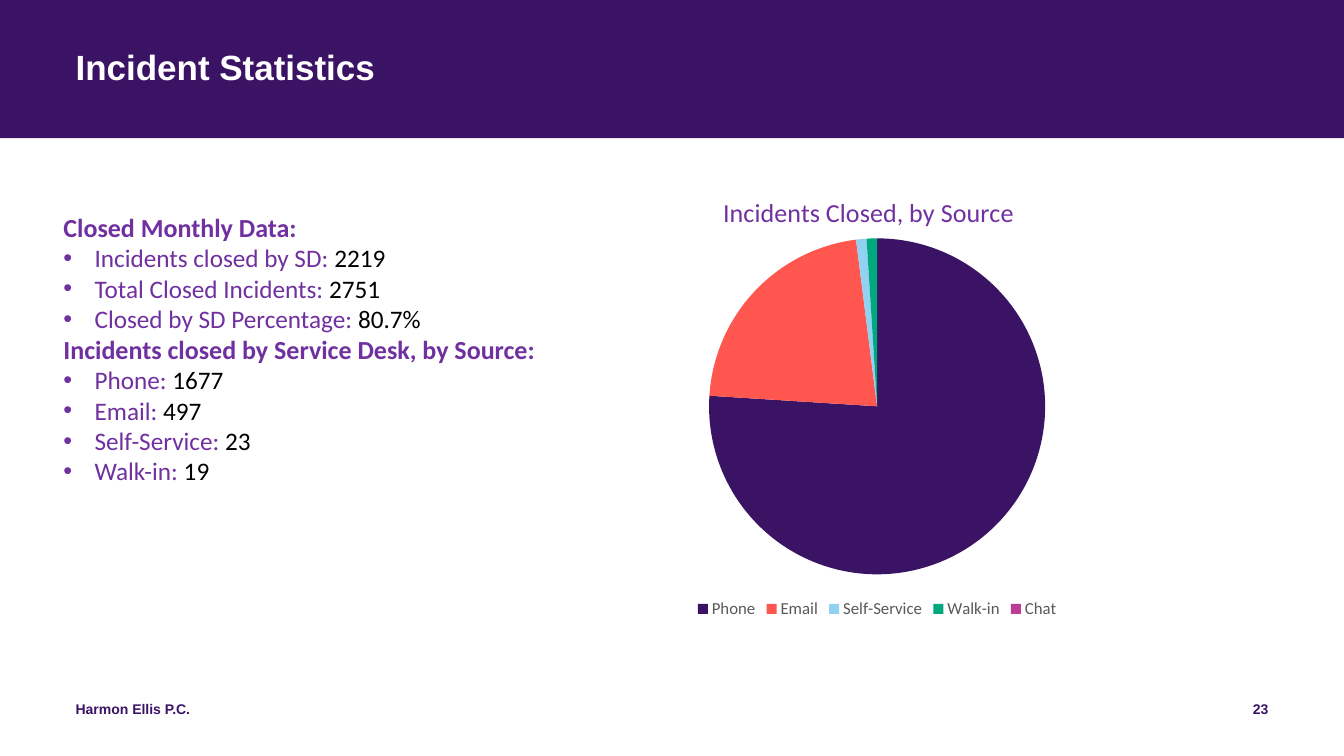
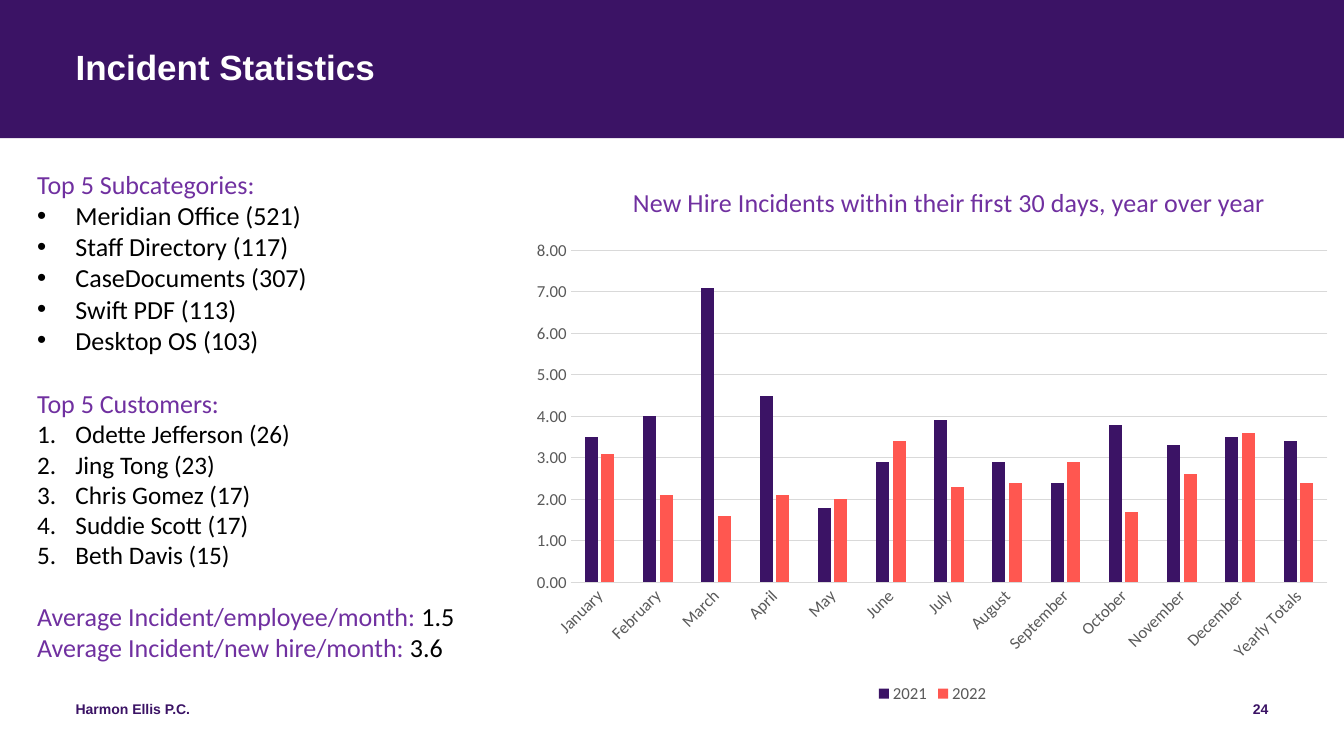
"""Build two slides of incident statistics."""
from lxml import etree
from pptx import Presentation
from pptx.chart.data import CategoryChartData
from pptx.dml.color import RGBColor
from pptx.enum.chart import XL_CHART_TYPE, XL_LEGEND_POSITION, XL_TICK_MARK
from pptx.enum.shapes import MSO_SHAPE
from pptx.enum.text import PP_ALIGN
from pptx.oxml.ns import qn
from pptx.util import Inches, Pt

PIE, BARS = XL_CHART_TYPE.PIE, XL_CHART_TYPE.COLUMN_CLUSTERED
BOTTOM, NO_TICK = XL_LEGEND_POSITION.BOTTOM, XL_TICK_MARK.NONE
RECT = MSO_SHAPE.RECTANGLE
LEFT, RIGHT = PP_ALIGN.LEFT, PP_ALIGN.RIGHT
HEX = {"plum": "3B1365", "coral": "FF5750", "sky": "91D2F2", "green": "00A87E",
       "pink": "BC3D95", "violet": "7030A0", "black": "000000", "white": "FFFFFF",
       "gray": "595959", "rule": "D9D9D9"}
HEAD, BODY = 18.6, 18
FIRM = "Harmon Ellis P.C."


def tint(name):
    """Return the named colour."""
    return RGBColor.from_string(HEX[name])


def place(host, spot, index):
    """Fix a chart part at shares of the chart's size."""
    for old in host.findall(qn("c:layout")):
        host.remove(old)
    frame = etree.Element(qn("c:layout"))
    host.insert(index, frame)
    inner = etree.SubElement(frame, qn("c:manualLayout"))
    rules = [("xMode", "edge"), ("yMode", "edge"), *zip("xywh", spot)]
    if len(spot) == 4:
        rules.insert(0, ("layoutTarget", "inner"))
    for tag, val in rules:
        etree.SubElement(inner, qn(f"c:{tag}")).set("val", str(val))


class Deck:
    """Hold the style and the current slide; boxes are percents of the slide."""

    def __init__(self):
        """Open an empty wide deck."""
        self.file = Presentation()
        self.file.slide_width, self.file.slide_height = Inches(13.33), Inches(7.5)
        self.slide = None

    def box(self, spot):
        """Turn percents into slide lengths."""
        wide, high = self.file.slide_width, self.file.slide_height
        return [int(side * part / 100) for side, part in zip((wide, high) * 2, spot)]

    def font(self, font, size, color, bold=False, face="Calibri"):
        """Style a font."""
        font.name, font.size, font.bold = face, Pt(size), bold
        font.color.rgb = tint(color)

    def run(self, para, text, *style):
        """Add one styled run."""
        run = para.add_run()
        run.text = text
        self.font(run.font, *style)

    def frame(self, spot):
        """Add a wrapping text box and return its frame."""
        frame = self.slide.shapes.add_textbox(*self.box(spot)).text_frame
        frame.word_wrap = True
        return frame

    def label(self, spot, text, size, color, align=LEFT, lead=1):
        """Add one bold line without insets."""
        frame = self.frame(spot)
        frame.margin_left = frame.margin_right = frame.margin_top = frame.margin_bottom = 0
        para = frame.paragraphs[0]
        para.alignment, para.line_spacing = align, lead
        self.run(para, text, size, color, True, "Arial")

    def page(self, title, number):
        """Start a slide with its band, title and footer."""
        self.slide = self.file.slides.add_slide(self.file.slide_layouts[6])
        band = self.slide.shapes.add_shape(RECT, *self.box((0, 0, 100, 18.27)))
        band.shadow.inherit = False
        band.fill.solid()
        band.fill.fore_color.rgb = tint("plum")
        band.line.fill.background()
        self.label((5.63, 92.67, 33.76, 5.33), FIRM, 10, "plum")
        self.label((71.87, 92.67, 22.5, 5.33), str(number), 10, "plum", RIGHT)
        self.label((5.63, 6.67, 88.75, 10.8), title, 25, "white", lead=0.9)

    def notes(self, spot, rows, indent):
        """Add rows of (mark, size, bold, gap, runs)."""
        frame = self.frame(spot)
        for i, (mark, size, bold, gap, runs) in enumerate(rows):
            para = frame.add_paragraph() if i else frame.paragraphs[0]
            para.space_before = Pt(gap)
            if mark:
                self.mark(para, mark, indent)
            for text, color in runs:
                self.run(para, text, size, color, bold)

    def mark(self, para, kind, indent):
        """Give a paragraph a bullet or a number."""
        props = para._p.get_or_add_pPr()
        props.set("marL", str(Inches(indent)))
        props.set("indent", str(-Inches(indent)))
        if kind == "1.":
            etree.SubElement(props, qn("a:buAutoNum")).set("type", "arabicPeriod")
        else:
            etree.SubElement(props, qn("a:buFont")).set("typeface", "Arial")
            etree.SubElement(props, qn("a:buChar")).set("char", kind)

    def chart(self, kind, spot, title, cats, series, head, plot):
        """Add a chart with a title and a legend."""
        data = CategoryChartData()
        data.categories = cats
        for name, vals in series:
            data.add_series(name, vals)
        chart = self.slide.shapes.add_chart(kind, *self.box(spot), data).chart
        self.font(chart.font, 10, "black")
        chart.has_title = chart.has_legend = True
        self.run(chart.chart_title.text_frame.paragraphs[0], title, HEAD, "violet")
        chart.legend.position, chart.legend.include_in_layout = BOTTOM, False
        self.font(chart.legend.font, 12, "gray")
        place(chart.element.xpath("c:chart/c:title")[0], head, 1)
        place(chart.element.xpath("c:chart/c:plotArea")[0], plot, 0)
        return chart

    def paint(self, items, names):
        """Fill points or series in turn."""
        for item, name in zip(items, names):
            item.format.fill.solid()
            item.format.fill.fore_color.rgb = tint(name)

    def pie(self, *args, colors):
        """Add a pie chart."""
        plot = self.chart(PIE, *args).plots[0]
        plot.vary_by_categories = True
        points = plot.series[0].points
        self.paint([points[i] for i in range(len(colors))], colors)

    def bars(self, *args, colors):
        """Add a column chart."""
        chart = self.chart(BARS, *args)
        plot = chart.plots[0]
        plot.vary_by_categories, plot.gap_width, plot.overlap = False, 219, -27
        self.paint(plot.series, colors)
        cat, val = chart.category_axis, chart.value_axis
        for axis in (cat, val):
            axis.major_tick_mark = axis.minor_tick_mark = NO_TICK
            self.font(axis.tick_labels.font, 12, "gray")
        val.minimum_scale, val.maximum_scale, val.major_unit = 0, 8, 1
        val.tick_labels.number_format = "0.00"
        val.tick_labels.number_format_is_linked = False
        val.format.line.fill.background()
        for line in (cat.format.line, val.major_gridlines.format.line):
            line.color.rgb, line.width = tint("rule"), Pt(0.75)
        turn = chart.element.xpath(".//c:catAx/c:txPr/a:bodyPr")[0]
        turn.set("rot", "-2700000")
        turn.set("vert", "horz")


def head(text, bold=False, gap=0):
    """Make a heading row."""
    return None, HEAD, bold, gap, [(text, "violet")]


def pair(name, value, mark="•", size=BODY, gap=0):
    """Make a row of a name and its value."""
    return mark, size, False, gap, [(f"{name}: ", "violet"), (value, "black")]


def items(mark, size, texts):
    """Make marked black rows."""
    return [(mark, size, False, 0, [(text, "black")]) for text in texts]


def main():
    """Build and save the deck."""
    deck = Deck()
    deck.page("Incident Statistics", 23)
    deck.pie((30.53, 21.47, 69.47, 60.93), "Incidents Closed, by Source",
             ["Phone", "Email", "Self-Service", "Walk-in", "Chat"],
             [("Series 1", [76, 22, 1, 1, 0])], (0.33, 0.06), (0.32, 0.16, 0.36, 0.74),
             colors=["plum", "coral", "sky", "green", "pink"])
    deck.notes((3.98, 27.33, 37.13, 41.6), [
        head("Closed Monthly Data:", True),
        pair("Incidents closed by SD", "2219"),
        pair("Total Closed Incidents", "2751"),
        pair("Closed by SD Percentage", "80.7%"),
        head("Incidents closed by Service Desk, by Source:", True),
        pair("Phone", "1677"),
        pair("Email", "497"),
        pair("Self-Service", "23"),
        pair("Walk-in", "19"),
    ], 0.31)

    deck.page("Incident Statistics", 24)
    deck.notes((2.03, 21.6, 36.83, 67.33), [
        head("Top 5 Subcategories:"),
        *items("•", HEAD, ["Meridian Office (521)", "Staff Directory (117)",
                           "CaseDocuments (307)", "Swift PDF (113)", "Desktop OS (103)"]),
        head("Top 5 Customers:", gap=22.7),
        *items("1.", BODY, ["Odette Jefferson (26)", "Jing Tong (23)", "Chris Gomez (17)",
                            "Suddie Scott (17)", "Beth Davis (15)"]),
        pair("Average Incident/employee/month", "1.5", None, HEAD, 22),
        pair("Average Incident/new hire/month", "3.6", None, HEAD),
    ], 0.38)
    deck.bars((38.78, 21.6, 61.22, 72),
              "New Hire Incidents within their first 30 days, year over year",
              ["January", "February", "March", "April", "May", "June", "July", "August",
               "September", "October", "November", "December", "Yearly Totals"],
              [("2021", [3.5, 4, 7.1, 4.5, 1.8, 2.9, 3.9, 2.9, 2.4, 3.8, 3.3, 3.5, 3.4]),
               ("2022", [3.1, 2.1, 1.6, 2.1, 2, 3.4, 2.3, 2.4, 2.9, 1.7, 2.6, 3.6, 2.4])],
              (0.13, 0.03), (0.06, 0.16, 0.92, 0.61), colors=["plum", "coral"])
    deck.file.save("out.pptx")


if __name__ == "__main__":
    main()
